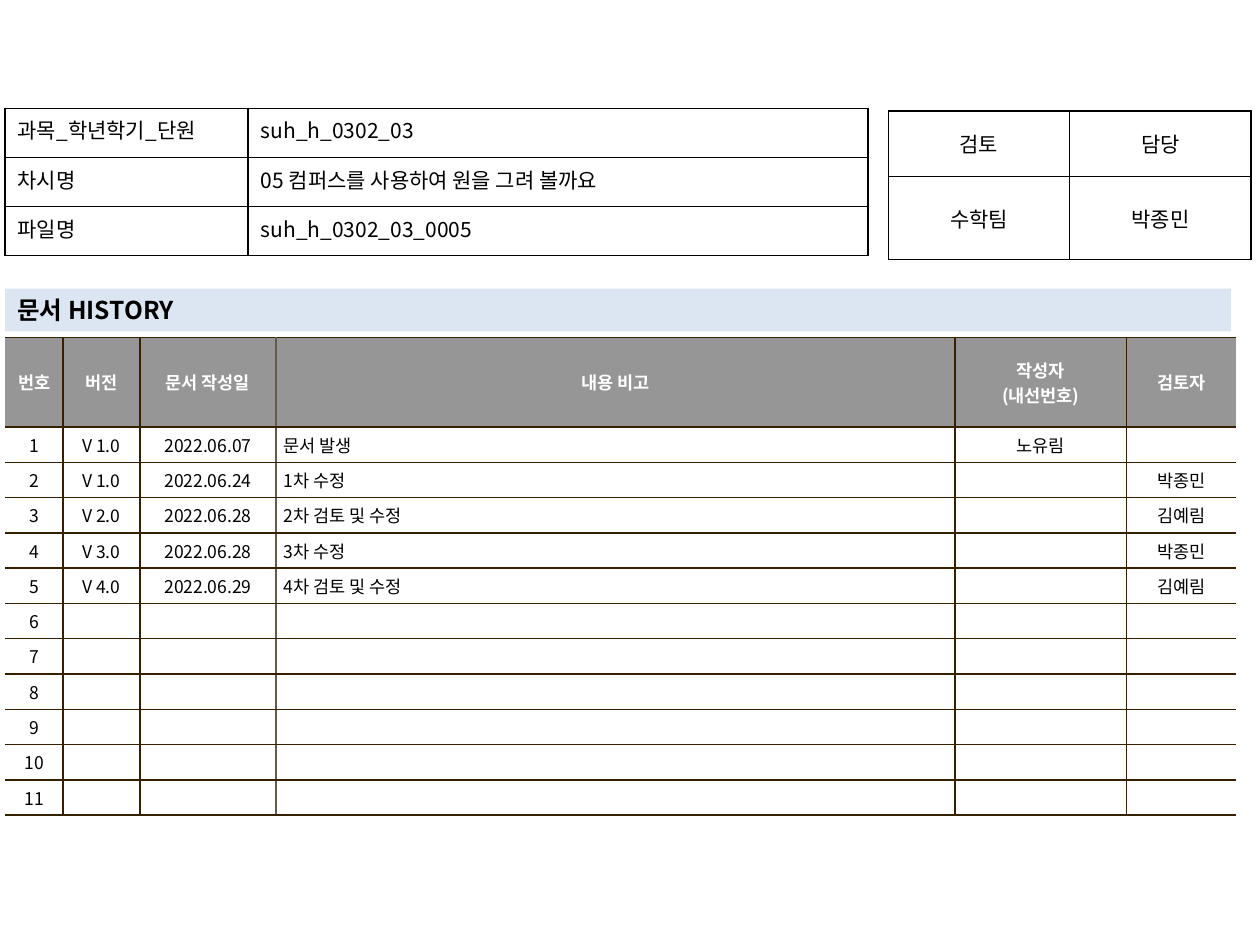
from dataclasses import dataclass

from lxml import etree
from pptx import Presentation
from pptx.dml.color import RGBColor
from pptx.enum import shapes, text
from pptx.oxml import ns
from pptx.util import Inches, Pt

FONT = "Noto Sans CJK KR"
HEX = {
    "ink": "000000",
    "white": "FFFFFF",
    "head": "969696",
    "band": "DCE6F2",
    "brown": "362000",
    "taupe": "645B4C",
}
LEFT, MID, JUST = (
    text.PP_ALIGN.LEFT,
    text.PP_ALIGN.CENTER,
    text.PP_ALIGN.JUSTIFY,
)


@dataclass
class Grid:
    left: float
    top: float
    cols: list[float]
    rows: list[float]
    data: list[list[str]]
    aligns: list
    size: int = 12
    pad: tuple[float, float] = (0.1, 0.05)
    anchor: text.MSO_ANCHOR = text.MSO_ANCHOR.MIDDLE
    line: str = "ink"
    fill: str | None = None
    head: bool = False
    sides: bool = True
    soft: int | None = None  # column whose left rule is taupe


def style(para, size: int, color: str, bold: bool, align) -> None:
    para.alignment = align
    para._p.get_or_add_endParaRPr().set("sz", str(size * 100))
    for run in para.runs:
        for key, val in {"size": Pt(size), "name": FONT, "bold": bold}.items():
            setattr(run.font, key, val)
        run.font.color.rgb = RGBColor.from_string(HEX[color])
        east = etree.SubElement(run._r.get_or_add_rPr(), ns.qn("a:ea"))
        east.set("typeface", FONT)


def rule(cell, side: str, color: str | None) -> None:
    """Draw one cell edge, or hide it when there is no colour."""
    edge = etree.SubElement(cell._tc.get_or_add_tcPr(), ns.qn(f"a:ln{side}"))
    edge.set("w", str(Pt(1)))
    if color is None:
        etree.SubElement(edge, ns.qn("a:noFill"))
        return
    solid = etree.SubElement(edge, ns.qn("a:solidFill"))
    etree.SubElement(solid, ns.qn("a:srgbClr")).set("val", HEX[color])


def edge(grid: Grid, pos: int) -> str | None:
    """Colour of the vertical rule left of column pos."""
    if pos in (0, len(grid.cols)) and not grid.sides:
        return None
    return "taupe" if pos == grid.soft else grid.line


def draw(slide, grid: Grid) -> None:
    table = slide.shapes.add_table(
        len(grid.rows), len(grid.cols),
        Inches(grid.left), Inches(grid.top),
        Inches(sum(grid.cols)), Inches(sum(grid.rows)),
    ).table
    table.first_row = table.horz_banding = False
    for col, width in zip(table.columns, grid.cols):
        col.width = Inches(width)
    for row, height in zip(table.rows, grid.rows):
        row.height = Inches(height)

    side, end = (Inches(val) for val in grid.pad)
    form = {
        "margin_left": side, "margin_right": side,
        "margin_top": end, "margin_bottom": end,
        "vertical_anchor": grid.anchor,
    }
    for r, line in enumerate(grid.data):
        top = grid.head and r == 0
        for c, word in enumerate(line):
            cell = table.cell(r, c)
            cell.text = word
            for key, val in form.items():
                setattr(cell, key, val)
            for para in cell.text_frame.paragraphs:
                style(para, grid.size, "white" if top else "ink", top,
                      MID if top else grid.aligns[c])
            rule(cell, "L", edge(grid, c))
            rule(cell, "R", edge(grid, c + 1))
            rule(cell, "T", grid.line)
            rule(cell, "B", grid.line)
            if grid.fill:
                cell.fill.solid()
                tint = HEX["head" if top else grid.fill]
                cell.fill.fore_color.rgb = RGBColor.from_string(tint)
            else:
                cell.fill.background()


def title(slide, words: str) -> None:
    band = slide.shapes.add_shape(
        shapes.MSO_SHAPE.RECTANGLE,
        Inches(0.04), Inches(2.29), Inches(9.73), Inches(0.34),
    )
    band.shadow.inherit = False
    band.fill.solid()
    band.fill.fore_color.rgb = RGBColor.from_string(HEX["band"])
    band.line.fill.background()
    frame = band.text_frame
    frame.word_wrap = True
    frame.vertical_anchor = text.MSO_ANCHOR.MIDDLE
    frame.text = words
    style(frame.paragraphs[0], 14, "ink", True, LEFT)


LOG = [
    ["V 1.0", "2022.06.07", "문서 발생", "노유림", ""],
    ["V 1.0", "2022.06.24", "1차 수정", "", "박종민"],
    ["V 2.0", "2022.06.28", "2차 검토 및 수정", "", "김예림"],
    ["V 3.0", "2022.06.28", "3차 수정", "", "박종민"],
    ["V 4.0", "2022.06.29", "4차 검토 및 수정", "", "김예림"],
]
COUNT = 11
FULL = LOG + [[""] * 5] * (COUNT - len(LOG))
HEADS = ["번호", "버전", "문서 작성일", "내용 비고", "작성자\n(내선번호)", "검토자"]

HISTORY = Grid(
    0.04, 2.68,
    [0.46, 0.61, 1.08, 5.39, 1.36, 0.87],
    [0.71] + [0.25] * COUNT,
    [HEADS] + [[str(n), *row] for n, row in enumerate(FULL, 1)],
    [MID, MID, MID, LEFT, MID, MID],
    size=10, pad=(0.06, 0.04), line="brown", fill="white",
    head=True, sides=False, soft=3,
)
REVIEW = Grid(
    7.05, 0.88, [1.44, 1.44], [0.52, 0.66],
    [["검토", "담당"], ["수학팀", "박종민"]],
    [MID, MID],
)
LESSON = Grid(
    0.04, 0.86, [1.93, 4.92], [0.39] * 3,
    [
        ["과목_학년학기_단원", "suh_h_0302_03"],
        ["차시명", "05 컴퍼스를 사용하여 원을 그려 볼까요"],
        ["파일명", "suh_h_0302_03_0005"],
    ],
    [JUST, LEFT], anchor=text.MSO_ANCHOR.TOP,
)


def main() -> None:
    deck = Presentation()
    deck.slide_width, deck.slide_height = Inches(10), Inches(7.5)
    slide = deck.slides.add_slide(deck.slide_layouts[6])
    draw(slide, HISTORY)
    draw(slide, REVIEW)
    title(slide, "문서 HISTORY")
    draw(slide, LESSON)
    deck.save("out.pptx")


if __name__ == "__main__":
    main()
